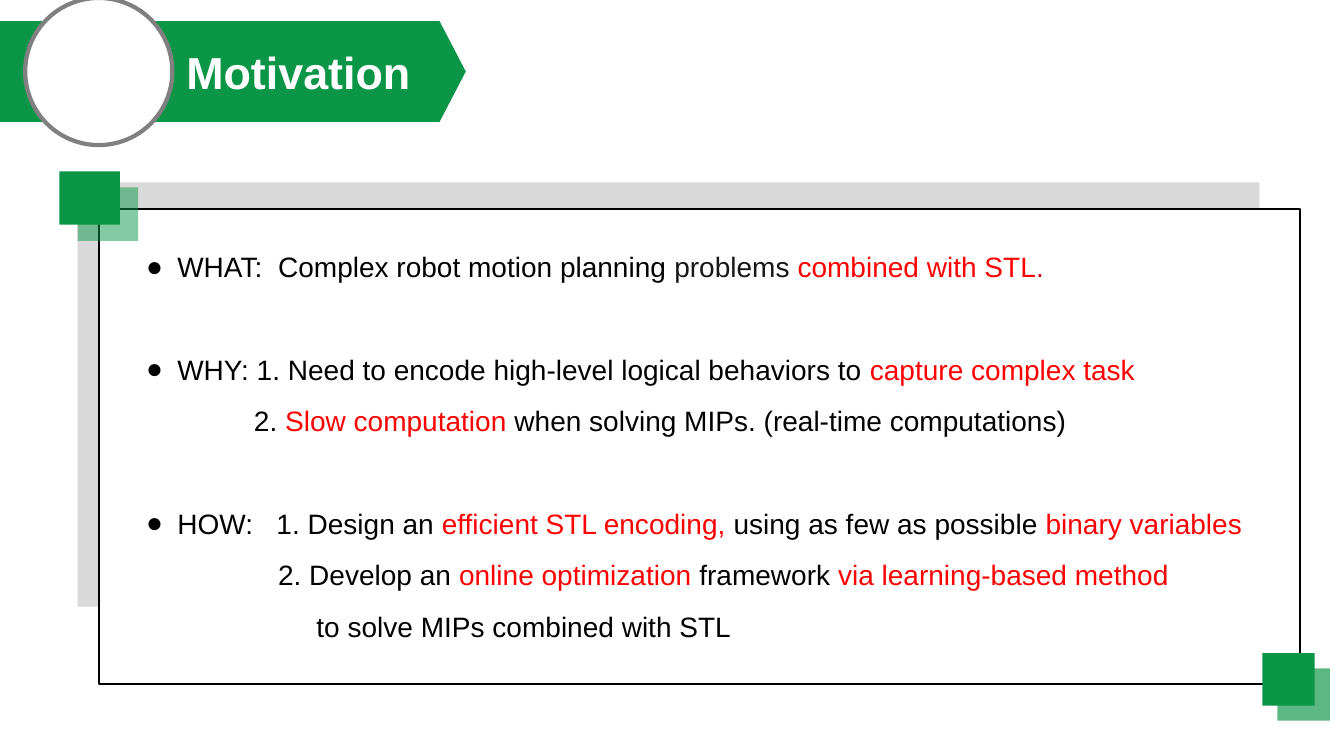
from lxml import etree
from pptx import Presentation
from pptx import util as u
from pptx.dml.color import RGBColor
from pptx.enum import shapes, text
from pptx.oxml import ns

COLORS = {"green": "0B9647", "shade": "D9D9D9", "ring": "808080", "white": "FFFFFF",
          "black": "000000", "ink": "181717", "red": "FF0000", "crimson": "E10B14"}
KINDS = shapes.MSO_SHAPE

presentation = Presentation()
presentation.slide_width = u.Inches(13.33)
presentation.slide_height = u.Inches(7.5)
slide = presentation.slides.add_slide(presentation.slide_layouts[6])


def add_block(kind, box, fill, line=None, alpha=None):
    shape = slide.shapes.add_shape(kind, *[u.Inches(value) for value in box])
    shape.shadow.inherit = False
    shape.fill.solid()
    shape.fill.fore_color.rgb = RGBColor.from_string(COLORS[fill])
    if alpha:
        color = shape.fill._xPr.find(".//" + ns.qn("a:srgbClr"))
        etree.SubElement(color, ns.qn("a:alpha"), val=str(alpha * 1000))
    if line:
        shape.line.color.rgb = RGBColor.from_string(COLORS[line[0]])
        shape.line.width = u.Pt(line[1])
    else:
        shape.line.fill.background()
    return shape


def add_run(paragraph, words, color, size, bold=False):
    run = paragraph.add_run()
    run.text = words
    run.font.color.rgb = RGBColor.from_string(COLORS[color])
    formats = {"name": "Arial", "size": u.Pt(size), "bold": bold}
    for name, value in formats.items():
        setattr(run.font, name, value)
    return run


# Framed panel with its grey backing
add_block(KINDS.RECTANGLE, (0.77, 1.81, 11.72, 4.21), "shade")
add_block(KINDS.RECTANGLE, (0.98, 2.07, 11.91, 4.72), "white", ("black", 1.5))

# Corner squares, solid and translucent
for left, top, width, height, alpha in [
        (12.52, 6.48, 0.52, 0.52, None), (12.67, 6.63, 0.52, 0.52, 67),
        (0.59, 1.7, 0.6, 0.53, None), (0.77, 1.86, 0.6, 0.53, 50)]:
    add_block(KINDS.RECTANGLE, (left, top, width, height), "green", alpha=alpha)

# Motivation points: left indent, bullet, space before, runs
# A number among the runs is one space widened by that many points
POINTS = [
    (0.31, True, 0, [("WHAT:", "black"), 5.56,
                     ("Complex robot motion planning ", "black"), ("problems ", "ink"),
                     ("combined with STL", "red"), (".", "crimson")]),
    (0.31, True, 49, [("WHY: 1. Need to encode high-level logical behaviors to ", "black"),
                      ("capture complex task", "red")]),
    (1.07, False, 13, [("2.", "black"), (" Slow computation", "red"),
                       (" when solving MIPs. (real-time computations)", "black")]),
    (0.31, True, 49, [("HOW:", "black"), 11.12, ("1. Design an", "black"),
                      (" efficient STL encoding, ", "red"),
                      ("using as few as possible", "black"), (" binary variables", "red")]),
    (1.31, False, 13, [("2. Develop an ", "black"), ("online optimization ", "red"),
                       ("framework ", "black"), ("via learning-based method", "red")]),
    (1.69, False, 13, [("to solve MIPs combined with STL", "black")]),
]
points_box = slide.shapes.add_textbox(*[u.Inches(value) for value in (1.35, 2.43, 11.45, 4.2)])
points_box.text_frame.word_wrap = True
for index, (indent, bullet, space, runs) in enumerate(POINTS):
    frame = points_box.text_frame
    paragraph = frame.add_paragraph() if index else frame.paragraphs[0]
    paragraph.space_before = u.Pt(space)
    properties = paragraph._p.get_or_add_pPr()
    properties.set("marL", str(u.Inches(indent)))
    if bullet:
        properties.set("indent", str(-u.Inches(indent)))
        etree.SubElement(properties, ns.qn("a:buFont"), typeface="Arial")
        etree.SubElement(properties, ns.qn("a:buChar"), char="●")
    for item in runs:
        if isinstance(item, tuple):
            add_run(paragraph, *item, 20)
        else:
            gap = add_run(paragraph, " ", "black", 20)
            gap.font._element.set("spc", str(round(item * 100)))

# Title banner with its round badge
banner = add_block(KINDS.PENTAGON, (-0.21, 0.21, 4.83, 1), "green")
banner.adjustments[0] = 0.26
add_block(KINDS.OVAL, (0.25, -0.02, 1.46, 1.46), "white", ("ring", 3))
title_box = slide.shapes.add_textbox(*[u.Inches(value) for value in (1.75, 0.39, 2.44, 0.64)])
title_box.text_frame.word_wrap = False
title_box.text_frame.auto_size = text.MSO_AUTO_SIZE.SHAPE_TO_FIT_TEXT
add_run(title_box.text_frame.paragraphs[0], "Motivation", "white", 32, bold=True)

presentation.save("out.pptx")
